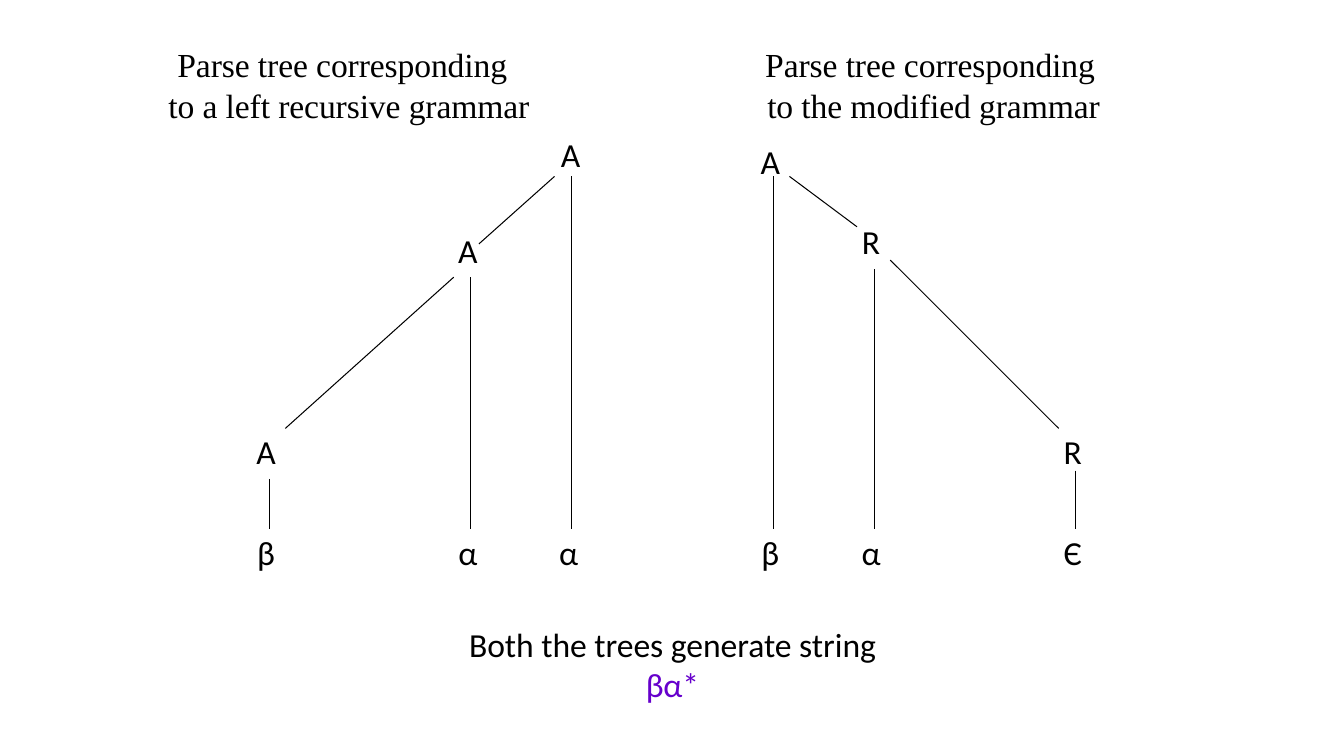
"""Build a slide comparing a left recursive parse tree with the modified one."""
from pptx import Presentation
from pptx import util as u
from pptx.dml.color import RGBColor
from pptx.enum import shapes, text
from pptx.oxml.ns import qn
from lxml import etree

BLACK, PURPLE = "000000", "6600CC"
LEAF_TOP, STEM_END = 5.27, 5.25
NODE_WIDTH, NODE_HEIGHT = 0.3, 0.43
NODE_SHIFT = 0.03

LEFT_TREE = {
    "nodes": [("A", 5.69, 1.32), ("A", 4.67, 2.27), ("A", 2.67, 4.27)],
    "leaves": [("β", 2.67, 4.75), ("α", 4.67, 2.75), ("α", 5.67, 1.75)],
    "branches": [(5.5, 1.75, 4.75, 2.42), (4.5, 2.75, 2.83, 4.25)],
}
RIGHT_TREE = {
    "nodes": [("A", 7.67, 1.39), ("R", 8.67, 2.18), ("R", 10.67, 4.27)],
    "leaves": [("β", 7.67, 1.75), ("α", 8.67, 2.67), ("Є", 10.67, 4.67)],
    "branches": [(7.83, 1.75, 8.5, 2.25), (8.83, 2.58, 10.5, 4.25)],
}


def color(value):
    """Turn a hex string into a colour."""
    return RGBColor.from_string(value)


def style_run(run, font="Calibri", spacing=0, ink=BLACK):
    """Format a run; spacing is in hundredths of a point."""
    run.font.name = font
    run.font.size = u.Pt(24)
    run.font.color.rgb = color(ink)
    run._r.get_or_add_rPr().set("spc", str(spacing))


def add_frame(slide, left, top, width, height):
    """Add a wrapping text box without side margins and return its frame."""
    frame = slide.shapes.add_textbox(
        u.Inches(left), u.Inches(top), u.Inches(width), u.Inches(height)
    ).text_frame
    frame.word_wrap = True
    frame.margin_left = frame.margin_right = frame.margin_bottom = 0
    frame.margin_top = u.Inches(0.01)
    return frame


def add_heading(slide, left, lines):
    """Add a two-line heading, each line with its own indent."""
    frame = add_frame(slide, left, 0.43, 4.08, 0.82)
    frame.text = "\n".join(line for line, _ in lines)
    frame.paragraphs[0].space_before = u.Pt(1)
    for paragraph, (_, indent) in zip(frame.paragraphs, lines):
        paragraph._p.get_or_add_pPr().set("marL", str(u.Inches(indent)))
        style_run(paragraph.runs[0], "Times New Roman", -8)


def add_node(slide, symbol, stem, top):
    """Add a grammar symbol centred on its stem."""
    left = stem - NODE_SHIFT - NODE_WIDTH / 2
    frame = add_frame(slide, left, top, NODE_WIDTH, NODE_HEIGHT)
    frame.text = symbol
    paragraph = frame.paragraphs[0]
    paragraph.alignment = text.PP_ALIGN.CENTER
    paragraph.space_before = u.Pt(1)
    style_run(paragraph.runs[0], spacing=-50)


def add_branch(slide, x1, y1, x2, y2):
    """Draw a thin black line between two points."""
    branch = slide.shapes.add_connector(
        shapes.MSO_CONNECTOR.STRAIGHT,
        u.Inches(x1), u.Inches(y1), u.Inches(x2), u.Inches(y2),
    )
    branch.line.color.rgb = color(BLACK)
    branch.line.width = u.Pt(0.75)
    etree.SubElement(branch._element.spPr, qn("a:effectLst"))


def add_tree(slide, tree):
    """Draw a parse tree with its nodes, leaves and branches."""
    for symbol, stem, top in tree["nodes"]:
        add_node(slide, symbol, stem, top)
    for symbol, stem, stem_start in tree["leaves"]:
        add_branch(slide, stem, stem_start, stem, STEM_END)
        add_node(slide, symbol, stem, LEAF_TOP)
    for ends in tree["branches"]:
        add_branch(slide, *ends)


def add_conclusion(slide):
    """Add the closing statement with the generated string in purple."""
    paragraph = add_frame(slide, 4.52, 6.18, 4.3, 0.84).paragraphs[0]
    paragraph.alignment = text.PP_ALIGN.CENTER
    paragraph.space_before = u.Pt(1)
    for words, spacing, ink in [
        ("Both the trees generate string ", -3, BLACK),
        ("βα*", -20, PURPLE),
    ]:
        run = paragraph.add_run()
        run.text = words
        style_run(run, spacing=spacing, ink=ink)


def main():
    """Build and save the slide."""
    deck = Presentation()
    deck.slide_width, deck.slide_height = u.Inches(13.33), u.Inches(7.5)
    slide = deck.slides.add_slide(deck.slide_layouts[6])
    add_heading(slide, 1.66, [("Parse tree corresponding", 0.1),
                              ("to a left recursive grammar", 0.01)])
    add_heading(slide, 7.53, [("Parse tree corresponding", 0.06),
                              ("to the modified grammar", 0.08)])
    add_tree(slide, LEFT_TREE)
    add_tree(slide, RIGHT_TREE)
    add_conclusion(slide)
    deck.save("out.pptx")


if __name__ == "__main__":
    main()
